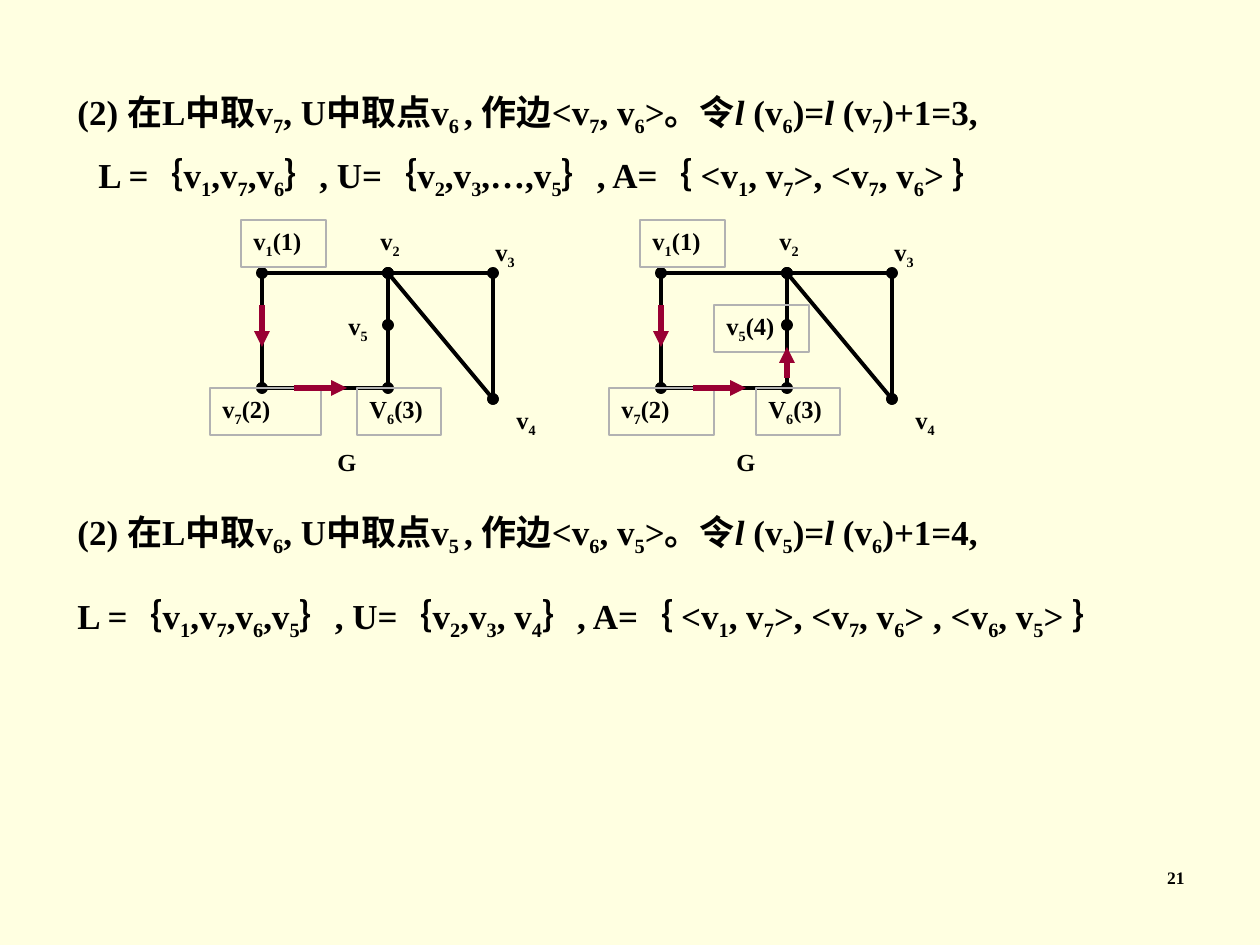
"""Builds a slide of breadth-first labelling steps with two graph drawings."""
from lxml.etree import SubElement
from pptx import Presentation
from pptx.dml.color import RGBColor
from pptx.enum.shapes import MSO_CONNECTOR as CONN, MSO_SHAPE as SHAPE
from pptx.enum.text import MSO_ANCHOR as ANCHOR, PP_ALIGN as ALIGN
from pptx.oxml.ns import qn
from pptx.util import Pt

PX = 914400 / 126
COLORS = {"paper": "FFFFE1", "ink": "000000", "box": "B2B2B2", "arrow": "990033"}
C = {k: RGBColor.from_string(v) for k, v in COLORS.items()}


def add_text(shapes, text, x, y, w, h, size=14, align=ALIGN.LEFT, indent=0, boxed=False):
    """Adds text where ~ encloses subscripts and * encloses italics."""
    pos = [int(v * PX) for v in (x, y, w, h)]
    if boxed:
        s = shapes.add_shape(SHAPE.RECTANGLE, *pos)
        s.shadow.inherit = False
        s.fill.background()
        s.line.color.rgb = C["box"]
        s.line.width = Pt(1.5)
    else:
        s = shapes.add_textbox(*pos)
    tf = s.text_frame
    tf.word_wrap = True
    tf.vertical_anchor = ANCHOR.TOP
    p = tf.paragraphs[0]
    p.alignment = align
    p._p.get_or_add_pPr().set("marL", str(int(indent * PX)))
    for i, part in enumerate(text.split("*")):
        for j, piece in enumerate(part.split("~")):
            if not piece:
                continue
            r = p.add_run()
            r.text = piece
            r.font.name = "Times New Roman"
            r.font.size = Pt(size)
            r.font.bold = True
            r.font.italic = i % 2 == 1
            r.font.color.rgb = C["ink"]
            if j % 2:
                r.font._element.set("baseline", "-25000")


def add_line(shapes, ends, color, width, head, tail):
    """Adds a straight line with the given end marks."""
    c = shapes.add_connector(CONN.STRAIGHT, *[int(v * PX) for v in ends])
    c.line.color.rgb = C[color]
    c.line.width = Pt(width)
    sp = c._element.spPr
    ln = sp.find(qn("a:ln"))
    SubElement(ln, qn("a:headEnd"), type=head)
    SubElement(ln, qn("a:tailEnd"), type=tail)
    SubElement(sp, qn("a:effectLst"))


prs = Presentation()
prs.slide_width, prs.slide_height = int(1260 * PX), int(945 * PX)
slide = prs.slides.add_slide(prs.slide_layouts[6])
slide.background.fill.solid()
slide.background.fill.fore_color.rgb = C["paper"]

add_text(slide.shapes, "21", 935, 861, 262, 63, size=10, align=ALIGN.RIGHT)

steps = [
    (21, 84, "(2) 在L中取v~7~, U中取点v~6 ~, 作边<v~7~, v~6~>。令*l *(v~6~)=*l *(v~7~)+1=3,"),
    (42, 147, "L =｛v~1~,v~7~,v~6~｝, U=｛v~2~,v~3~,…,v~5~｝, A=｛ <v~1~, v~7~>, <v~7~, v~6~> ｝"),
    (21, 504, "(2) 在L中取v~6~, U中取点v~5 ~, 作边<v~6~, v~5~>。令*l *(v~5~)=*l *(v~6~)+1=4,"),
    (21, 588, "L =｛v~1~,v~7~,v~6~,v~5~｝, U=｛v~2~,v~3~, v~4~｝, "
              "A=｛ <v~1~, v~7~>, <v~7~, v~6~> , <v~6~, v~5~> ｝"),
]
for x, y, text in steps:
    add_text(slide.shapes, text, x, y, 1218, 60, size=20, indent=44)

nodes = {1: (262, 273), 2: (388, 273), 3: (493, 273), 4: (493, 399),
         5: (388, 325), 6: (388, 388), 7: (262, 388)}
edges = [(1, 7), (7, 6), (1, 2), (2, 5), (5, 6), (2, 3), (3, 4), (2, 4)]
labels = [("v~2~", 368, 220, 54, False), ("v~1~(1)", 241, 220, 85, True),
          ("V~6~(3)", 357, 388, 84, True), ("v~4~", 504, 399, 54, False),
          ("v~3~", 483, 231, 54, False)]
arrows = [(262, 305, 262, 347), (294, 388, 347, 388)]
graphs = [
    (0, [("v~5~", 336, 305, 54, False), ("v~7~(2)", 210, 388, 111, True)], []),
    (399, [("v~5~(4)", 315, 305, 95, True), ("v~7~(2)", 210, 388, 105, True)],
     [(388, 378, 388, 347)]),
]
for dx, own_labels, own_arrows in graphs:
    shapes = slide.shapes.add_group_shape().shapes
    add_text(shapes, "G", 325 + dx, 441, 107, 43)
    for a, b in edges:
        (x1, y1), (x2, y2) = nodes[a], nodes[b]
        add_line(shapes, (x1 + dx, y1, x2 + dx, y2), "ink", 2.25, "oval", "oval")
    for text, x, y, w, boxed in labels + own_labels:
        add_text(shapes, text, x + dx, y, w, 47, boxed=boxed)
    for x1, y1, x2, y2 in arrows + own_arrows:
        add_line(shapes, (x1 + dx, y1, x2 + dx, y2), "arrow", 3, "none", "triangle")

prs.save("out.pptx")
